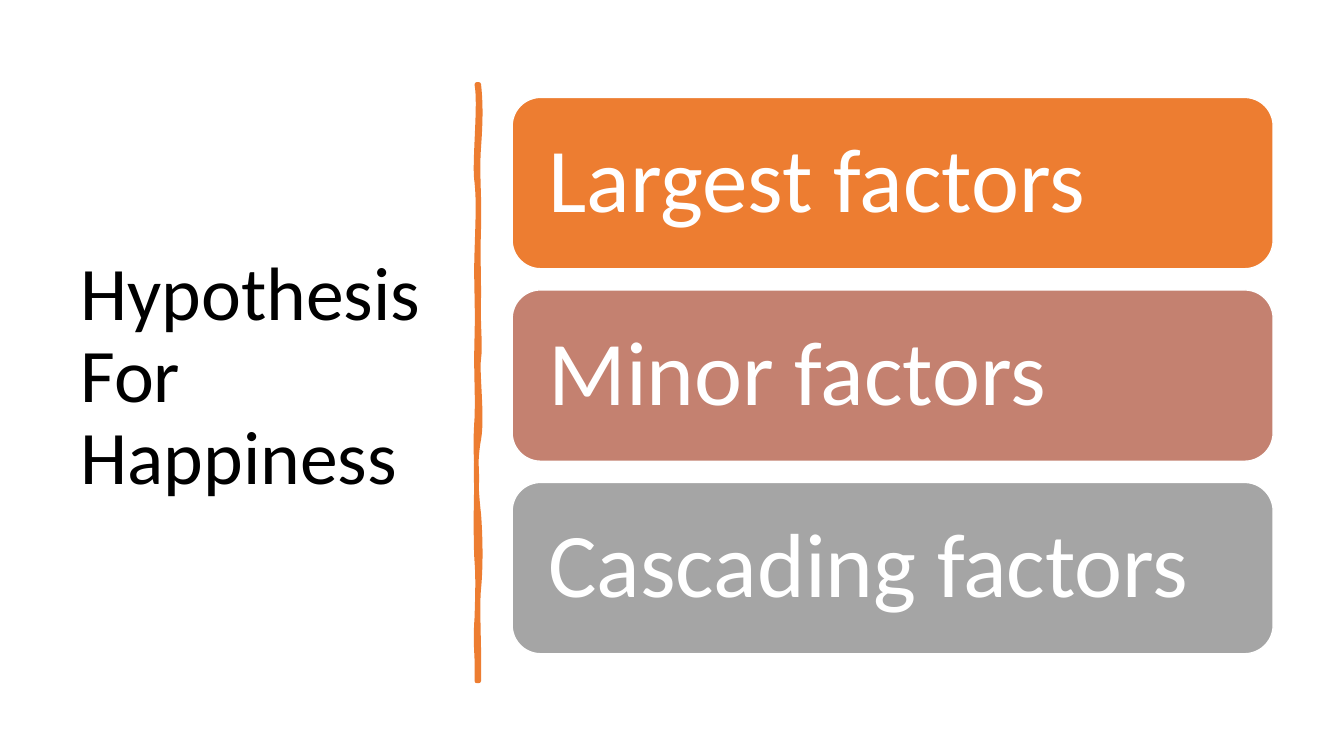
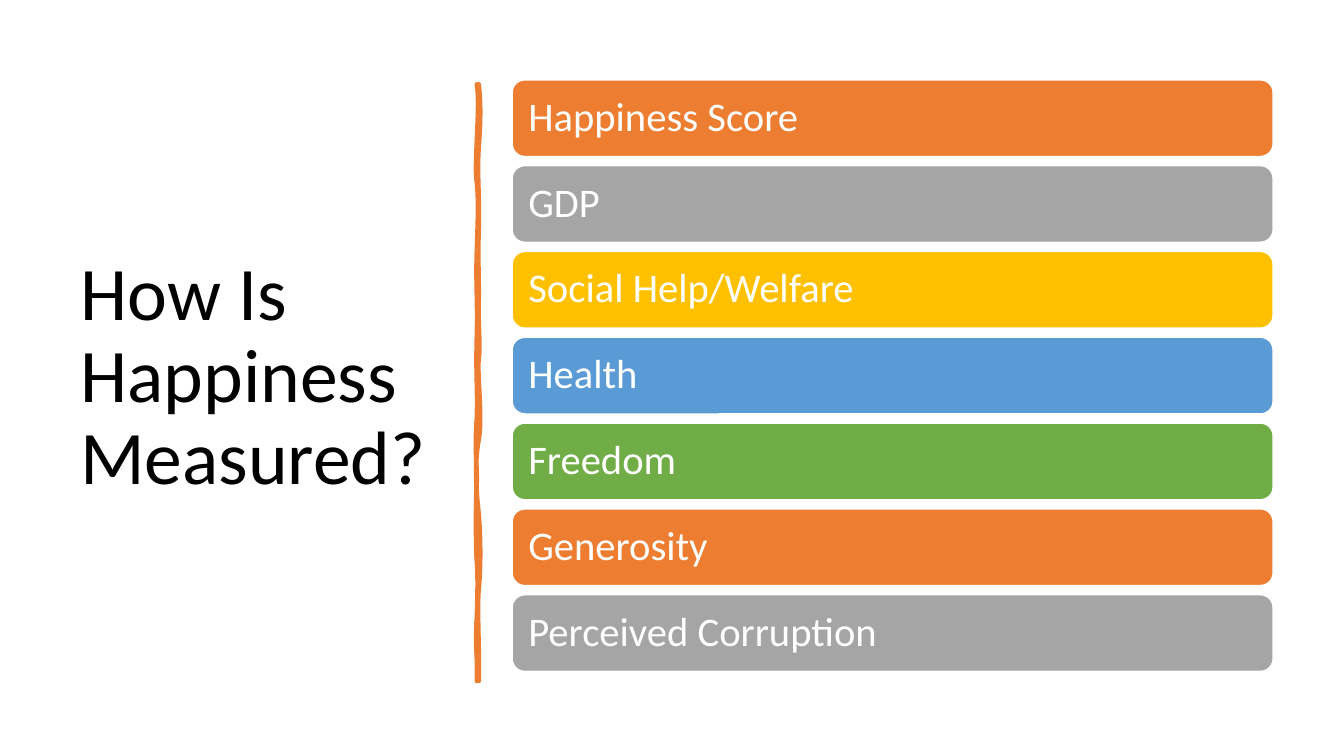
"""Build two happiness slides: a title, a hand-drawn divider and a stack of bars."""
from dataclasses import dataclass

from lxml.etree import SubElement
from pptx import Presentation
from pptx.dml.color import RGBColor
from pptx.enum.shapes import MSO_SHAPE
from pptx.enum.text import MSO_ANCHOR, MSO_AUTO_SIZE, PP_ALIGN
from pptx.oxml.ns import qn
from pptx.util import Pt


@dataclass(frozen=True)
class Theme:
    font: str = "Calibri"
    black: RGBColor = RGBColor(0x00, 0x00, 0x00)
    white: RGBColor = RGBColor(0xFF, 0xFF, 0xFF)
    orange: RGBColor = RGBColor(0xED, 0x7D, 0x31)
    rose: RGBColor = RGBColor(0xC4, 0x81, 0x70)
    gray: RGBColor = RGBColor(0xA5, 0xA5, 0xA5)
    gold: RGBColor = RGBColor(0xFF, 0xC0, 0x00)
    blue: RGBColor = RGBColor(0x5B, 0x9B, 0xD5)
    green: RGBColor = RGBColor(0x70, 0xAD, 0x47)
    title_size: float = 54
    large_bar_size: float = 65
    small_bar_size: float = 29


theme = Theme()

BAR_LEFT, BAR_WIDTH, STACK_MIDDLE = 365.8, 543.6, 268.3
DIVIDER_START = (342, 60.3)
DIVIDER_CURVES = [
    ((343.4, 73.4), (343.4, 85.7), (342, 105.1)),
    ((340.6, 124.6), (342.7, 140.4), (342, 162.7)),
    ((341.3, 185), (342, 188.6), (342, 211.7)),
    ((341.3, 234), (343.4, 246.2), (342, 256.3)),
    ((340.6, 266.4), (344.9, 298.1), (342, 313.9)),
    ((339.1, 329), (339.8, 348.5), (342, 367.2)),
    ((343.4, 385.9), (343.4, 406.1), (342, 420.5)),
    ((340.6, 434.2), (342.7, 468), (342, 486.4)),
    ((341.3, 486.4), (340.6, 486.4), (340.6, 486.4)),
    ((341.3, 465.1), (339.1, 463.7), (340.6, 441.4)),
    ((341.3, 419.8), (341.3, 410.4), (340.6, 401)),
    ((339.8, 391.7), (339.8, 356.4), (340.6, 343.4)),
    ((340.6, 330.5), (339.1, 320.4), (340.6, 298.8)),
    ((341.3, 277.9), (339.8, 268.6), (340.6, 241.2)),
    ((341.3, 214.6), (339.8, 202.3), (340.6, 180)),
    ((341.3, 157), (342, 144), (340.6, 130.3)),
    ((338.4, 117.4), (343.4, 74.9), (340.6, 60.3)),
]

SLIDES = [
    {
        "title": "Hypothesis For Happiness",
        "height": 122.4, "gap": 15.1, "inset": 19.9, "size": theme.large_bar_size,
        "bars": [
            ("Largest factors", theme.orange),
            ("Minor factors", theme.rose),
            ("Cascading factors", theme.gray),
        ],
    },
    {
        "title": "How Is Happiness Measured?",
        "height": 54.8, "gap": 6.5, "inset": 8.9, "size": theme.small_bar_size,
        "bars": [
            ("Happiness Score", theme.orange),
            ("GDP", theme.gray),
            ("Social Help/Welfare", theme.gold),
            ("Health", theme.blue),
            ("Freedom", theme.green),
            ("Generosity", theme.orange),
            ("Perceived Corruption", theme.gray),
        ],
    },
]


def write_text(shape, text, *, size, color, inset_x, inset_y):
    frame = shape.text_frame
    frame.word_wrap = True
    frame.auto_size = MSO_AUTO_SIZE.NONE
    frame.vertical_anchor = MSO_ANCHOR.MIDDLE
    frame.margin_left = frame.margin_right = Pt(inset_x)
    frame.margin_top = frame.margin_bottom = Pt(inset_y)
    paragraph = frame.paragraphs[0]
    paragraph.alignment = PP_ALIGN.LEFT
    paragraph.line_spacing = 0.9
    run = paragraph.add_run()
    run.text = text
    run.font.name = theme.font
    run.font.size = Pt(size)
    run.font.color.rgb = color


def paint(shape, fill, line, line_width):
    shape.shadow.inherit = False
    shape.fill.solid()
    shape.fill.fore_color.rgb = fill
    shape.line.color.rgb = line
    shape.line.width = Pt(line_width)


presentation = Presentation()
presentation.slide_width, presentation.slide_height = Pt(960), Pt(540)
title_only_layout = presentation.slide_layouts[5]

for content in SLIDES:
    slide = presentation.slides.add_slide(title_only_layout)

    title = slide.shapes.title
    title.left, title.top, title.width, title.height = Pt(50.2), Pt(50), Pt(269.3), Pt(440)
    write_text(title, content["title"], size=theme.title_size, color=theme.black,
               inset_x=7.2, inset_y=3.6)

    builder = slide.shapes.build_freeform(*(Pt(value) for value in DIVIDER_START))
    builder.add_line_segments(
        [(Pt(x), Pt(y)) for curve in DIVIDER_CURVES for x, y in curve], close=True)
    divider = builder.convert_to_shape()
    segments = list(divider.element.iter(qn("a:lnTo")))
    outline = segments[0].getparent()
    for first in range(0, len(segments), 3):
        curve = SubElement(outline, qn("a:cubicBezTo"))
        segments[first].addprevious(curve)
        for segment in segments[first:first + 3]:
            curve.append(segment[0])
            outline.remove(segment)
    paint(divider, theme.orange, theme.orange, 3.25)

    pitch = content["height"] + content["gap"]
    stack_height = pitch * len(content["bars"]) - content["gap"]
    stack_top = STACK_MIDDLE - stack_height / 2
    for index, (label, color) in enumerate(content["bars"]):
        bar = slide.shapes.add_shape(
            MSO_SHAPE.ROUNDED_RECTANGLE, Pt(BAR_LEFT), Pt(stack_top + index * pitch),
            Pt(BAR_WIDTH), Pt(content["height"]))
        paint(bar, color, theme.white, 1)
        write_text(bar, label, size=content["size"], color=theme.white,
                   inset_x=content["inset"], inset_y=content["inset"])

presentation.save("out.pptx")
